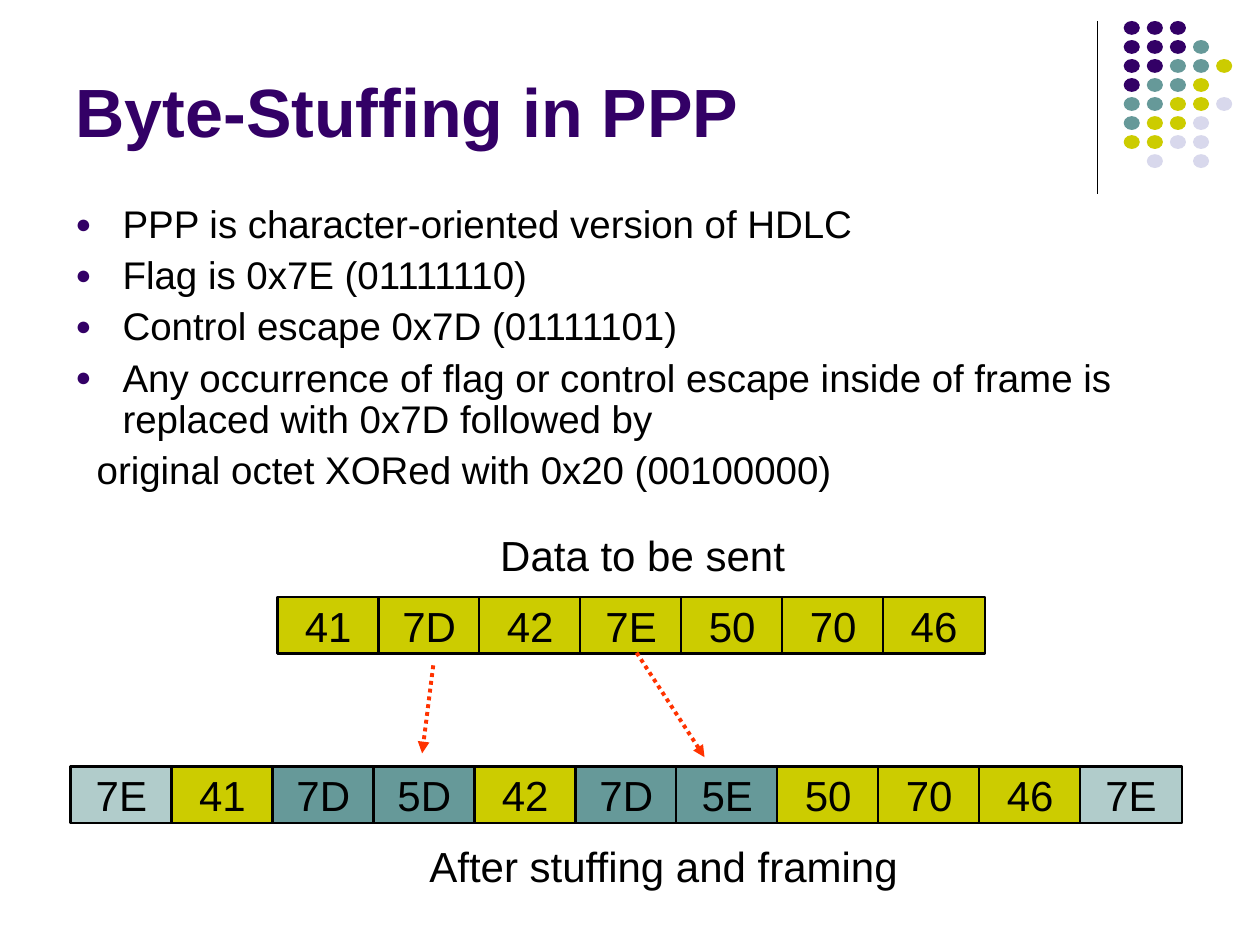
from dataclasses import dataclass

from lxml.etree import SubElement
from pptx import Presentation
from pptx.dml.color import RGBColor
from pptx.enum.dml import MSO_LINE
from pptx.enum.shapes import MSO_CONNECTOR, MSO_SHAPE
from pptx.enum.text import MSO_ANCHOR, PP_ALIGN
from pptx.oxml.ns import qn
from pptx.util import Pt


@dataclass(frozen=True)
class Theme:
    font: str = "Arial"
    purple: str = "330066"
    teal: str = "669999"
    olive: str = "CCCC00"
    lavender: str = "D8D8EC"
    pale_teal: str = "B1CCCB"
    arrow: str = "FF3300"
    black: str = "000000"
    title_size: float = 39
    body_size: float = 22
    diagram_size: float = 24


THEME = Theme()
CELL_WIDTH, CELL_HEIGHT, CELL_PITCH = 58.3, 32.4, 57.7

DOT_COLORS = {"P": THEME.purple, "T": THEME.teal, "O": THEME.olive, "L": THEME.lavender}
DOT_ROWS = ["PPP", "PPPT", "PPTTO", "PTTO", "TTOOL", "TOOL", "OOLL", ".L.L"]

BULLETS = [
    "PPP is character-oriented version of HDLC",
    "Flag is 0x7E (01111110)",
    "Control escape 0x7D (01111101)",
    "Any occurrence of flag or control escape inside of frame is replaced with 0x7D followed by",
]
CONTINUATION = "original octet XORed with 0x20 (00100000)"

DATA = ["41", "7D", "42", "7E", "50", "70", "46"]
FRAME = ["7E", "41", "7D", "5D", "42", "7D", "5E", "50", "70", "46", "7E"]
FRAME_FILLS = {0: THEME.pale_teal, 10: THEME.pale_teal,
               2: THEME.teal, 3: THEME.teal, 5: THEME.teal, 6: THEME.teal}


def style_paragraph(para, size, color=THEME.black, bold=False):
    for span in para.runs:
        span.font.name = THEME.font
        span.font.size = Pt(size)
        span.font.bold = bold
        span.font.color.rgb = RGBColor.from_string(color)


def add_text(page, left, top, width, height, text, size, color=THEME.black,
             bold=False, wrap=True, anchor=MSO_ANCHOR.TOP):
    box = page.shapes.add_textbox(Pt(left), Pt(top), Pt(width), Pt(height))
    frame = box.text_frame
    frame.word_wrap = wrap
    frame.vertical_anchor = anchor
    frame.text = text
    for para in frame.paragraphs:
        style_paragraph(para, size, color, bold)
    return box


def add_solid(page, preset, left, top, width, height, fill):
    shape = page.shapes.add_shape(preset, Pt(left), Pt(top), Pt(width), Pt(height))
    shape.shadow.inherit = False
    shape.fill.solid()
    shape.fill.fore_color.rgb = RGBColor.from_string(fill)
    return shape


def add_line(page, start, end, color, width):
    line = page.shapes.add_connector(
        MSO_CONNECTOR.STRAIGHT, *(Pt(value) for value in (*start, *end)))
    line.line.color.rgb = RGBColor.from_string(color)
    line.line.width = Pt(width)
    SubElement(line._element.spPr, qn("a:effectLst"))
    return line


def add_arrow(page, start, end):
    arrow = add_line(page, start, end, THEME.arrow, 2.25)
    arrow.line.dash_style = MSO_LINE.ROUND_DOT
    SubElement(arrow.line._get_or_add_ln(), qn("a:tailEnd"), type="triangle")


def add_dot_ornament(page, left, top):
    """Draw the vertical rule and the staggered dots to its right."""
    add_line(page, (left, top), (left, top + 98.6), THEME.black, 0.75)
    for row, letters in enumerate(DOT_ROWS):
        for column, letter in enumerate(letters):
            if letter in DOT_COLORS:
                dot = add_solid(page, MSO_SHAPE.OVAL, left + 15.1 + column * 13.2,
                                top + row * 10.87, 9.2, 7.9, DOT_COLORS[letter])
                dot.line.fill.background()


def set_bullet(para, margin):
    properties = para._p.get_or_add_pPr()
    properties.set("marL", str(Pt(margin)))
    properties.set("indent", str(-Pt(margin)))
    color = SubElement(properties, qn("a:buClr"))
    SubElement(color, qn("a:srgbClr"), val=THEME.purple)
    SubElement(properties, qn("a:buSzPct"), val="70000")
    SubElement(properties, qn("a:buFont"), typeface=THEME.font)
    SubElement(properties, qn("a:buChar"), char="●")


def add_body(page, left, top, width, height):
    box = add_text(page, left, top, width, height,
                   "\n".join([*BULLETS, CONTINUATION]), THEME.body_size)
    paragraphs = box.text_frame.paragraphs
    for index, para in enumerate(paragraphs):
        para.line_spacing = 0.9
        if index > 0:
            para.space_before = Pt(5.5)
    for para in paragraphs[:-1]:
        set_bullet(para, 27)
    paragraphs[-1]._p.get_or_add_pPr().set("marL", str(Pt(12.2)))


def add_byte_row(page, left, top, octets, fills):
    """Draw adjoining cells; fills maps a cell index to a colour other than olive."""
    for index, octet in enumerate(octets):
        cell = add_solid(page, MSO_SHAPE.RECTANGLE, left + index * CELL_PITCH, top,
                         CELL_WIDTH, CELL_HEIGHT, fills.get(index, THEME.olive))
        cell.line.color.rgb = RGBColor.from_string(THEME.black)
        cell.line.width = Pt(1.5)
        frame = cell.text_frame
        frame.word_wrap = False
        frame.vertical_anchor = MSO_ANCHOR.MIDDLE
        frame.text = octet
        para = frame.paragraphs[0]
        para.alignment = PP_ALIGN.CENTER
        style_paragraph(para, THEME.diagram_size)


def add_stuffing_diagram(page, left, top):
    add_text(page, left + 238.6, top, 177, 36, "Data to be sent",
             THEME.diagram_size, wrap=False)
    add_byte_row(page, left + 118.2, top + 42.4, DATA, {})
    add_text(page, left + 198.1, top + 177.8, 282, 36, "After stuffing and framing",
             THEME.diagram_size, wrap=False)
    add_byte_row(page, left, top + 139.2, FRAME, FRAME_FILLS)
    add_arrow(page, (left + 207.4, top + 81.4), (left + 201, top + 131.7))
    add_arrow(page, (left + 323.6, top + 74.2), (left + 362.4, top + 133.9))


def main():
    deck = Presentation()
    deck.slide_width, deck.slide_height = Pt(720), Pt(540)
    page = deck.slides.add_slide(deck.slide_layouts[6])
    add_dot_ornament(page, 627, 12)
    add_body(page, 36, 113.8, 648, 178.6)
    add_text(page, 36, 9.4, 594, 80.6, "Byte-Stuffing in PPP", THEME.title_size,
             THEME.purple, bold=True, anchor=MSO_ANCHOR.BOTTOM)
    add_stuffing_diagram(page, 40.2, 298.8)
    deck.save("out.pptx")


if __name__ == "__main__":
    main()
